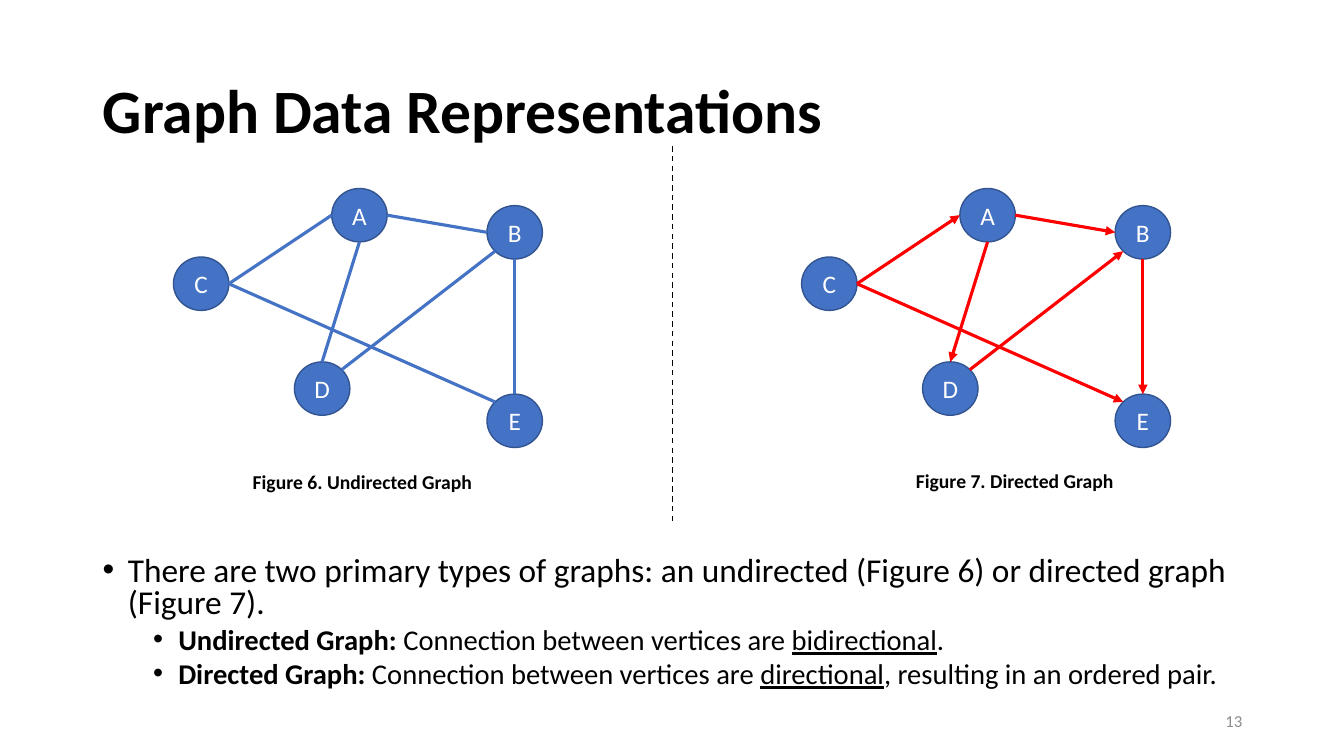
import math
from dataclasses import dataclass

import lxml.etree
import pptx
import pptx.dml.color
import pptx.enum.dml
import pptx.enum.shapes
import pptx.enum.text
import pptx.oxml.ns
import pptx.util

Inches = pptx.util.Inches
Align = pptx.enum.text.PP_ALIGN
Anchor = pptx.enum.text.MSO_ANCHOR
qn = pptx.oxml.ns.qn


@dataclass(frozen=True)
class Theme:
    """Colours, type sizes and font of the slide."""
    font: str = "Calibri"
    ink: str = "000000"
    muted: str = "8C8C8C"
    on_node: str = "FFFFFF"
    node: str = "4472C4"
    node_line: str = "325491"
    directed: str = "FF0000"
    title: float = 44
    body: float = 23.8
    sub: float = 20.4
    label: float = 18
    caption: float = 14
    number: float = 12


THEME = Theme()
NODE_W, NODE_H = 0.55, 0.53
NODES = {"A": (1.57, 0), "B": (3.11, 0.17), "C": (0, 0.68), "D": (1.2, 1.72), "E": (3.11, 2.04)}
TOP, TOP_LEFT, LEFT, BOTTOM_LEFT, BOTTOM, BOTTOM_RIGHT, RIGHT, TOP_RIGHT = range(8)
EDGES = [
    ("A", RIGHT, "B", LEFT),
    ("C", RIGHT, "A", LEFT),
    ("A", BOTTOM, "D", TOP),
    ("C", RIGHT, "E", TOP_LEFT),
    ("D", TOP_RIGHT, "B", BOTTOM_LEFT),
    ("B", BOTTOM, "E", TOP),
]
BULLETS = [
    (0, [("There are two primary types of graphs: an undirected (Figure 6) or directed graph (Figure 7).", {})]),
    (1, [("Undirected Graph:", {"bold": True}), (" Connection between vertices are ", {}),
         ("bidirectional", {"underline": True}), (".", {})]),
    (1, [("Directed Graph:", {"bold": True}), (" Connection between vertices are ", {}),
         ("directional", {"underline": True}), (", resulting in an ordered pair.", {})]),
]


def rgb(value):
    """Turn a hex string into a colour."""
    return pptx.dml.color.RGBColor.from_string(value)


def write(p, text, size, color=THEME.ink, bold=False, underline=False, align=Align.LEFT):
    """Add a formatted run to a paragraph."""
    p.alignment = align
    r = p.add_run()
    r.text = text
    r.font.name = THEME.font
    r.font.size = pptx.util.Pt(size)
    r.font.bold = bold
    r.font.underline = underline
    r.font.color.rgb = rgb(color)


def text_frame(s, box, anchor=Anchor.TOP):
    """Add a wrapping text box and return its frame."""
    tf = s.shapes.add_textbox(*map(Inches, box)).text_frame
    tf.word_wrap = True
    tf.vertical_anchor = anchor
    return tf


def add_line(s, start, end, color, width):
    """Draw a straight line without a shadow."""
    line = s.shapes.add_connector(
        pptx.enum.shapes.MSO_CONNECTOR.STRAIGHT, *map(Inches, (*start, *end)))
    line.line.color.rgb = rgb(color)
    line.line.width = pptx.util.Pt(width)
    lxml.etree.SubElement(line._element.spPr, qn("a:effectLst"))
    return line


def add_title(s, box, text):
    """Place and format the title placeholder."""
    sp = s.shapes.title
    sp.left, sp.top, sp.width, sp.height = map(Inches, box)
    tf = sp.text_frame
    tf.auto_size = pptx.enum.text.MSO_AUTO_SIZE.NONE
    tf.vertical_anchor = Anchor.MIDDLE
    p = tf.paragraphs[0]
    p.line_spacing = 0.9
    write(p, text, THEME.title, bold=True)


def add_node(s, left, top, label):
    """Draw one labelled vertex."""
    sp = s.shapes.add_shape(
        pptx.enum.shapes.MSO_SHAPE.OVAL, *map(Inches, (left, top, NODE_W, NODE_H)))
    sp.shadow.inherit = False
    sp.fill.solid()
    sp.fill.fore_color.rgb = rgb(THEME.node)
    sp.line.color.rgb = rgb(THEME.node_line)
    sp.line.width = pptx.util.Pt(1)
    sp.text_frame.vertical_anchor = Anchor.MIDDLE
    write(sp.text_frame.paragraphs[0], label, THEME.label, THEME.on_node, align=Align.CENTER)
    return sp


def site_point(left, top, name, site):
    """Find a connection site, counted anticlockwise from the top of a vertex."""
    dx, dy = NODES[name]
    angle = math.pi / 2 + site * math.pi / 4
    return (left + dx + NODE_W / 2 * (1 + math.cos(angle)),
            top + dy + NODE_H / 2 * (1 - math.sin(angle)))


def add_graph(s, left, top, color, directed=False):
    """Draw the vertices and the edges joined to them."""
    nodes = {name: add_node(s, left + dx, top + dy, name) for name, (dx, dy) in NODES.items()}
    for a, a_site, b, b_site in EDGES:
        edge = add_line(s, site_point(left, top, a, a_site), site_point(left, top, b, b_site), color, 2.25)
        joints = edge._element.find(".//" + qn("p:cNvCxnSpPr"))
        for tag, name, site in (("a:stCxn", a, a_site), ("a:endCxn", b, b_site)):
            lxml.etree.SubElement(joints, qn(tag), id=str(nodes[name].shape_id), idx=str(site))
        if directed:
            lxml.etree.SubElement(edge.line._get_or_add_ln(), qn("a:tailEnd"), type="triangle")


def add_caption(s, box, text):
    """Add a centred figure caption."""
    tf = text_frame(s, box)
    tf.auto_size = pptx.enum.text.MSO_AUTO_SIZE.SHAPE_TO_FIT_TEXT
    write(tf.paragraphs[0], text, THEME.caption, bold=True, align=Align.CENTER)


def add_bullets(s, box):
    """Write the two-level bullet list."""
    tf = text_frame(s, box)
    for i, (level, runs) in enumerate(BULLETS):
        p = tf.add_paragraph() if i else tf.paragraphs[0]
        p.level = level
        p.line_spacing = 0.8
        p.space_before = pptx.util.Pt(5 if level else 10)
        for text, style in runs:
            write(p, text, THEME.sub if level else THEME.body, **style)
        pPr = p._p.get_or_add_pPr()
        pPr.set("marL", str(Inches(0.25 + 0.5 * level)))
        pPr.set("indent", str(Inches(-0.25)))
        lxml.etree.SubElement(pPr, qn("a:buFont"), typeface="Arial")
        lxml.etree.SubElement(pPr, qn("a:buChar"), char="•")


def add_number(s, box, text):
    """Write the slide number."""
    tf = text_frame(s, box, Anchor.MIDDLE)
    write(tf.paragraphs[0], text, THEME.number, THEME.muted, align=Align.RIGHT)


def main():
    """Build and save the slide."""
    prs = pptx.Presentation()
    prs.slide_width, prs.slide_height = Inches(13.33), Inches(7.5)
    s = prs.slides.add_slide(prs.slide_layouts[5])
    add_title(s, (0.92, 0.4, 11.5, 1.45), "Graph Data Representations")
    add_bullets(s, (0.92, 5.48, 11.5, 1.44))
    add_number(s, (9.42, 6.95, 3, 0.4), "13")
    add_graph(s, 1.72, 1.87, THEME.node)
    add_caption(s, (1.21, 4.61, 4.77, 0.34), "Figure 6. Undirected Graph")
    add_graph(s, 7.95, 1.87, THEME.directed, directed=True)
    add_caption(s, (7.68, 4.6, 4.77, 0.34), "Figure 7. Directed Graph")
    divider = add_line(s, (6.67, 1.45), (6.67, 5.2), THEME.ink, 1)
    divider.line.dash_style = pptx.enum.dml.MSO_LINE.DASH
    prs.save("out.pptx")


if __name__ == "__main__":
    main()
